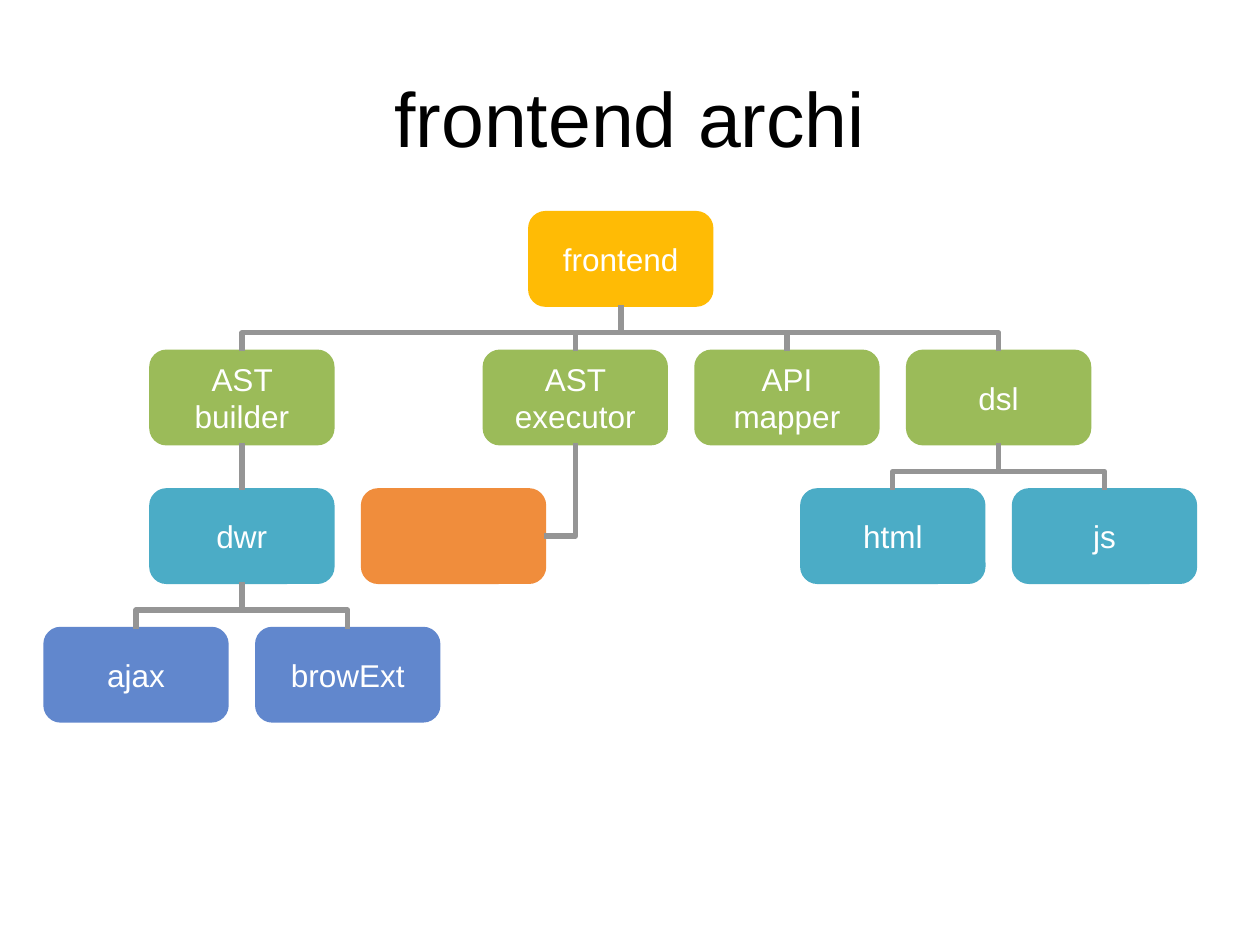
from lxml.etree import SubElement
from pptx import Presentation
from pptx.dml.color import RGBColor
from pptx.enum.shapes import MSO_CONNECTOR, MSO_SHAPE
from pptx.enum.text import MSO_ANCHOR, PP_ALIGN
from pptx.oxml.ns import qn
from pptx.util import Inches, Pt

TOP, BOTTOM = 0, 2
ROOT, MODULE, PART, PENDING, LEAF = "FFBB05", "9BBB59", "4BACC6", "F08D3C", "6187CD"

# key: (label, column, row, fill, parent key); columns step by half a box pitch
NODES = {
    "frontend": ("frontend", 4.58, 0, ROOT, None),
    "builder": ("AST builder", 1, 1, MODULE, "frontend"),
    "executor": ("AST executor", 4.15, 1, MODULE, "frontend"),
    "dwr": ("dwr", 1, 2, PART, "builder"),
    "mapper": ("API mapper", 6.15, 1, MODULE, "frontend"),
    "dsl": ("dsl", 8.15, 1, MODULE, "frontend"),
    "html": ("html", 7.15, 2, PART, "dsl"),
    "js": ("js", 9.15, 2, PART, "dsl"),
    "pending": ("", 3, 2, PENDING, "executor"),
    "ajax": ("ajax", 0, 3, LEAF, "dwr"),
    "browser": ("browExt", 2, 3, LEAF, "dwr"),
}


def color(hex_code):
    return RGBColor.from_string(hex_code)


class TreeSlide:
    FONT = "Arial"
    LINE = "959595"
    LEFT, UPPER = Inches(0.36), Inches(1.69)
    COLUMN, ROW = Inches(0.84), Inches(1.1)
    WIDTH, HEIGHT = Inches(1.44), Inches(0.73)

    def __init__(self, deck):
        self.deck = deck
        self.slide = deck.slides.add_slide(deck.slide_layouts[5])

    def add_label(self, frame, text, size, hex_code):
        frame.word_wrap = True
        frame.vertical_anchor = MSO_ANCHOR.MIDDLE
        paragraph = frame.paragraphs[0]
        paragraph.alignment = PP_ALIGN.CENTER
        run = paragraph.add_run()
        run.text = text
        run.font.name, run.font.size = self.FONT, Pt(size)
        run.font.color.rgb = color(hex_code)

    def title(self, text):
        heading = self.slide.shapes.title
        width, height = self.deck.slide_width, self.deck.slide_height
        heading.left, heading.top = int(width * 0.05), int(height * 0.04)
        heading.width, heading.height = int(width * 0.9), Inches(1.25)
        self.add_label(heading.text_frame, text, 44, "000000")

    def node(self, label, column, row, fill):
        box = self.slide.shapes.add_shape(
            MSO_SHAPE.ROUNDED_RECTANGLE,
            int(self.LEFT + column * self.COLUMN), self.UPPER + row * self.ROW,
            self.WIDTH, self.HEIGHT)
        box.shadow.inherit = False
        box.fill.solid()
        box.fill.fore_color.rgb = box.line.color.rgb = color(fill)
        box.line.width = Pt(2.25)
        if label:
            self.add_label(box.text_frame, label, 18, "FFFFFF")
        return box

    def connector(self, kind, start, end):
        link = self.slide.shapes.add_connector(kind, *start, *end)
        link.line.color.rgb = color(self.LINE)
        link.line.width = Pt(3)
        SubElement(link._element.spPr, qn("a:effectLst"))
        return link

    def straight(self, child, parent):
        link = self.connector(MSO_CONNECTOR.STRAIGHT, (0, 0), (0, 0))
        link.begin_connect(child, TOP)
        link.end_connect(parent, BOTTOM)

    def side_elbow(self, child, parent):
        """Leave the child's right side and turn once up to the parent."""
        start = child.left + child.width, child.top + child.height // 2
        end = parent.left + parent.width // 2, parent.top + parent.height
        link = self.connector(MSO_CONNECTOR.ELBOW, start, end)
        link._element.spPr.find(qn("a:prstGeom")).set("prst", "bentConnector2")

    def top_elbow(self, child, parent):
        """Rise from the child's top, run across, and rise to the parent."""
        x1, y1 = child.left + child.width // 2, child.top
        x2, y2 = parent.left + parent.width // 2, parent.top + parent.height
        # The preset runs sideways first, so it is laid flat and then turned.
        length, span = y1 - y2, abs(x2 - x1)
        left, top = (x1 + x2 - length) // 2, (y1 + y2 - span) // 2
        link = self.connector(MSO_CONNECTOR.ELBOW, (left, top),
                              (left + length, top + span))
        frame = link._element.spPr.find(qn("a:xfrm"))
        frame.set("flipV", "1")
        if x2 > x1:
            frame.set("flipH", "1")
        frame.set("rot", str((90 if x2 > x1 else 270) * 60000))
        guides = link._element.spPr.find(qn("a:prstGeom")).get_or_add_avLst()
        SubElement(guides, qn("a:gd"), name="adj1", fmla="val 40000")


def main():
    deck = Presentation()
    deck.slide_width, deck.slide_height = Inches(10), Inches(7.5)
    tree = TreeSlide(deck)
    tree.title("frontend archi")
    links = {"dwr": tree.straight, "pending": tree.side_elbow}
    boxes = {}
    for key, (label, column, row, fill, parent) in NODES.items():
        boxes[key] = tree.node(label, column, row, fill)
        if parent:
            links.get(key, tree.top_elbow)(boxes[key], boxes[parent])
    deck.save("out.pptx")


if __name__ == "__main__":
    main()
